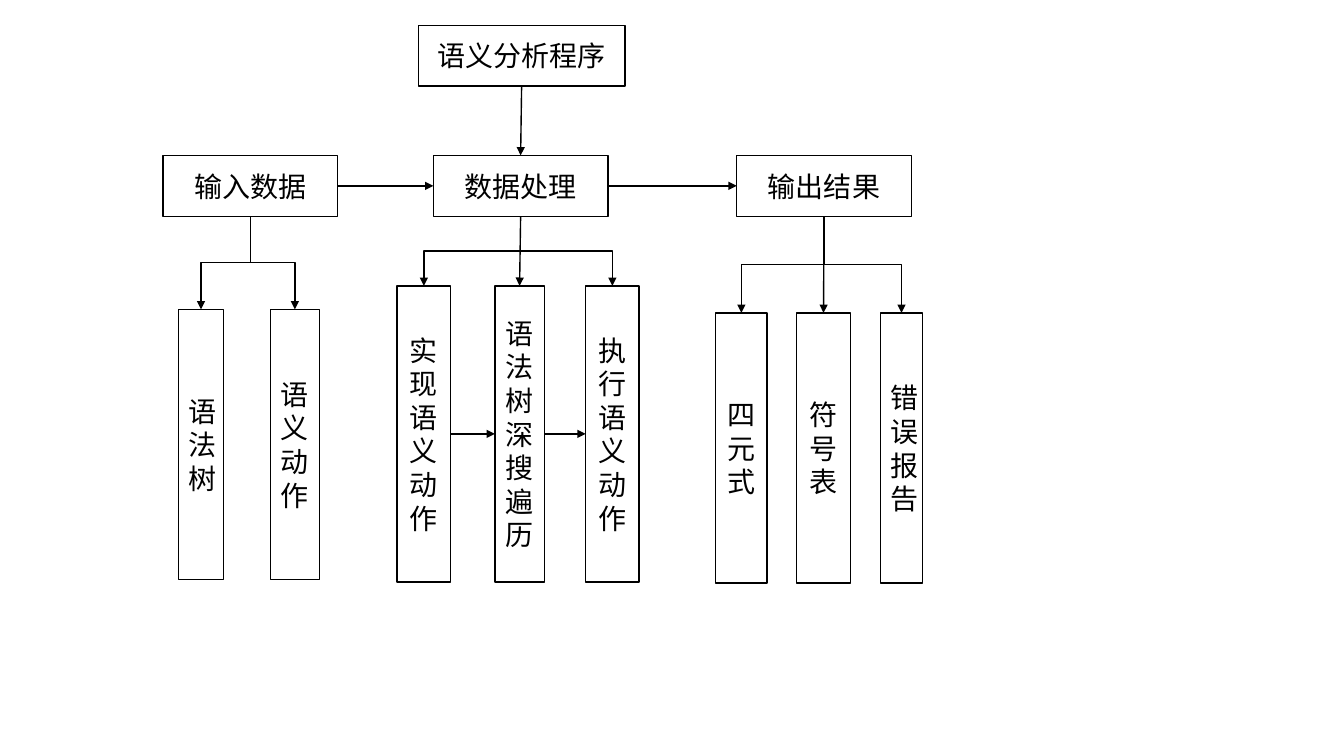
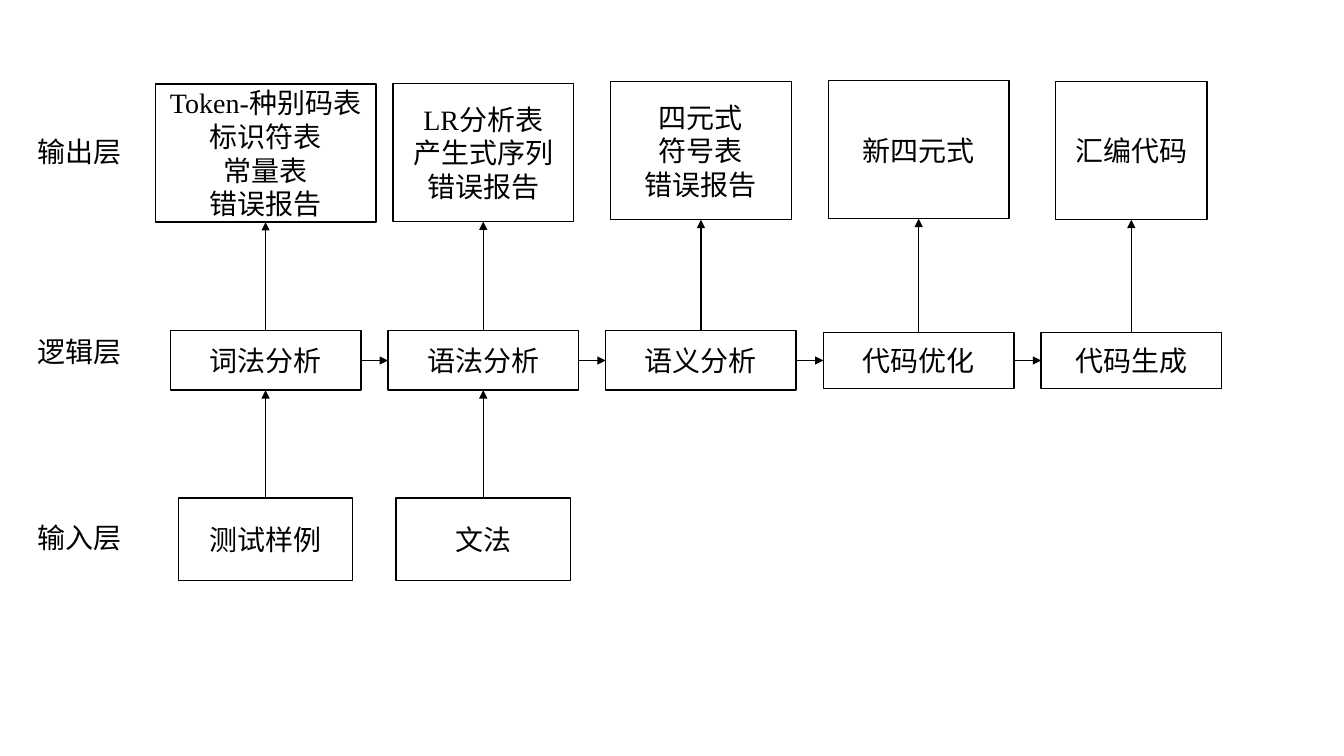
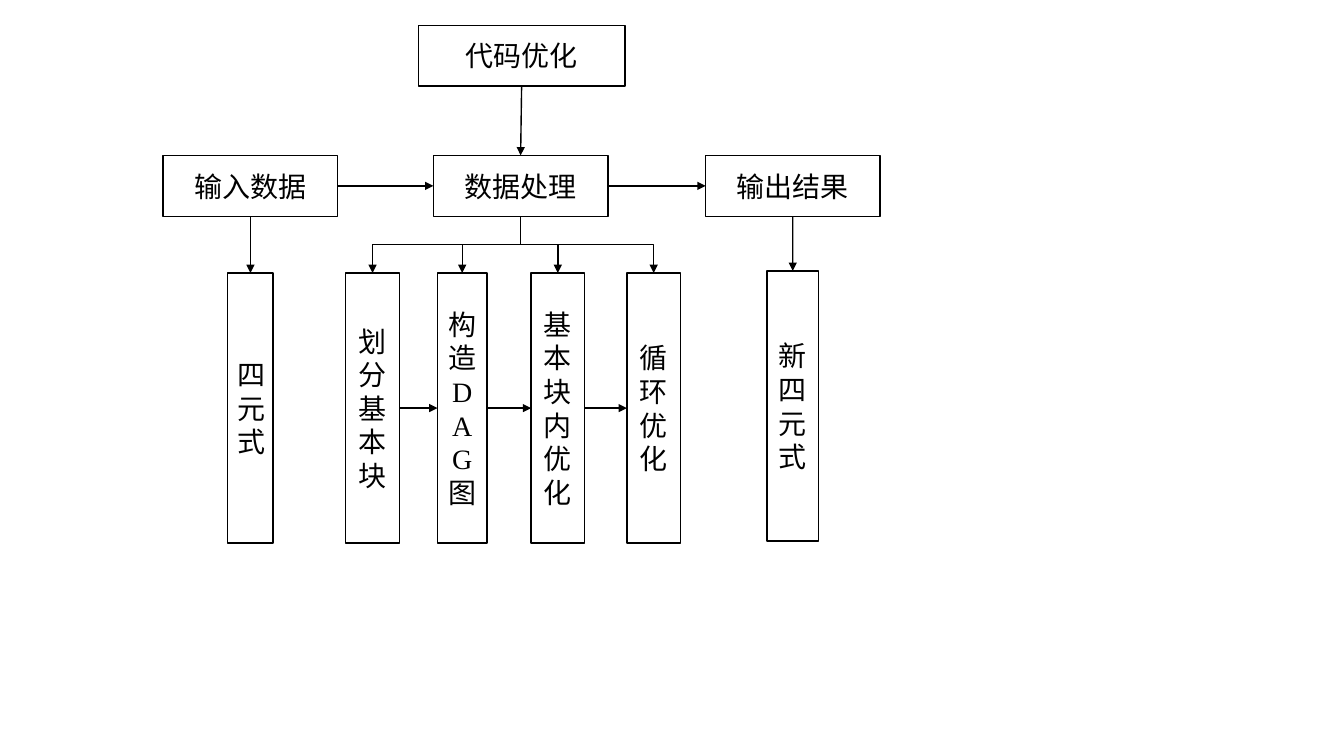
from dataclasses import dataclass
from itertools import pairwise

from lxml import etree
from pptx import Presentation
from pptx.dml.color import RGBColor
from pptx.enum.shapes import MSO_CONNECTOR as Connector, MSO_SHAPE as Preset
from pptx.enum.text import MSO_ANCHOR as Anchor, PP_ALIGN as Align
from pptx.oxml.ns import qn
from pptx.util import Pt


@dataclass(frozen=True)
class Theme:
    ink: RGBColor = RGBColor(0, 0, 0)
    paper: RGBColor = RGBColor(255, 255, 255)
    text_size: float = 20
    line_width: float = 1
    box_font: str = "Times New Roman"
    label_font: str = "Noto Sans CJK SC"


THEME = Theme()
TOP, LEFT, BOTTOM, RIGHT = range(4)  # connection sites of a rectangle

# Module charts: shared places of the heading boxes
ROOT_BOX = (298.8, 18, 147.6, 43.5)
HEADING_TOP, HEADING_WIDTH, HEADING_HEIGHT = 111, 124.6, 43.5

# Layer chart: column and row centres
FIRST_COLUMN, COLUMN_STEP = 189.7, 155.5
LOGIC_MIDDLE, INPUT_MIDDLE = 257.5, 385.2


# Elements
def write(text_frame, lines, font_name, align):
    text_frame.word_wrap = True
    text_frame.text = "\n".join(lines)
    font_format = {"name": font_name, "size": Pt(THEME.text_size)}
    for paragraph in text_frame.paragraphs:
        paragraph.alignment = align
        for run in paragraph.runs:
            for name, value in font_format.items():
                setattr(run.font, name, value)
            run.font.color.rgb = THEME.ink


def add_box(slide, left, top, width, height, *lines):
    shape = slide.shapes.add_shape(
        Preset.RECTANGLE, Pt(left), Pt(top), Pt(width), Pt(height))
    shape.shadow.inherit = False
    shape.fill.solid()
    shape.fill.fore_color.rgb = THEME.paper
    shape.line.color.rgb = THEME.ink
    shape.line.width = Pt(THEME.line_width)
    shape.text_frame.vertical_anchor = Anchor.MIDDLE
    write(shape.text_frame, lines, THEME.box_font, Align.CENTER)
    return shape


def add_centred_box(slide, centre, middle, width, height, *lines):
    return add_box(slide, centre - width / 2, middle - height / 2,
                   width, height, *lines)


def add_label(slide, top, text):
    shape = slide.shapes.add_textbox(Pt(19.4), Pt(top), Pt(80), Pt(31.7))
    write(shape.text_frame, [text], THEME.label_font, Align.LEFT)


def add_arrow(slide, start, start_site, end, end_site, kind=Connector.STRAIGHT):
    connector = slide.shapes.add_connector(kind, 0, 0, 0, 0)
    connector.begin_connect(start, start_site)
    connector.end_connect(end, end_site)
    connector.line.color.rgb = THEME.ink
    connector.line.width = Pt(THEME.line_width)
    etree.SubElement(connector.line._get_or_add_ln(), qn("a:tailEnd"),
                     type="triangle")
    etree.SubElement(connector._element.spPr, qn("a:effectLst"))
    return connector


def add_branch(slide, parent, child):
    """Arrow from the foot of parent to the head of child, bent if needed."""
    offset = child.left + child.width // 2 - parent.left - parent.width // 2
    if abs(offset) < Pt(2):
        add_arrow(slide, parent, BOTTOM, child, TOP)
        return
    connector = add_arrow(slide, parent, BOTTOM, child, TOP, Connector.ELBOW)
    # The preset elbow starts sideways, so it is turned to start downwards
    centre = (connector.begin_x + connector.end_x) // 2
    middle = (connector.begin_y + connector.end_y) // 2
    drop, spread = connector.end_y - connector.begin_y, abs(offset)
    turned = {"left": centre - drop // 2, "top": middle - spread // 2,
              "width": drop, "height": spread}
    for name, value in turned.items():
        setattr(connector, name, value)
    transform = connector._element.spPr.find(qn("a:xfrm"))
    transform.set("rot", str((90 if offset < 0 else 270) * 60000))
    transform.set("flipH", "0" if offset < 0 else "1")


def add_row_arrows(slide, boxes):
    for start, end in pairwise(boxes):
        add_arrow(slide, start, RIGHT, end, LEFT)


# Slides
def add_module_chart(slide, title, groups):
    """groups: heading, left, then top, height and parts (left, width, text)."""
    root = add_box(slide, *ROOT_BOX, title)
    headings = []
    for heading_text, heading_left, top, height, parts in groups:
        heading = add_box(slide, heading_left, HEADING_TOP, HEADING_WIDTH,
                          HEADING_HEIGHT, heading_text)
        headings.append(heading)
        boxes = [add_box(slide, left, top, width, height, text)
                 for left, width, text in parts]
        for box in boxes:
            add_branch(slide, heading, box)
        if heading_text == "数据处理":
            add_row_arrows(slide, boxes)
    add_branch(slide, root, headings[1])
    add_row_arrows(slide, headings)


def add_layer_chart(slide):
    for top, text in ((92.9, "输出层"), (235.4, "逻辑层"), (368.6, "输入层")):
        add_label(slide, top, text)

    # Stage: text, width, height; output: middle, width, lines; input text
    stages = [
        ("词法分析", 136.1, 42.5, 109.4, 157.7,
         ("Token-种别码表", "标识符表", "常量表", "错误报告"), "测试样例"),
        ("语法分析", 136.1, 42.5, 109, 129,
         ("LR分析表", "产生式序列", "错误报告"), "文法"),
        ("语义分析", 136.1, 42.5, 107.7, 129,
         ("四元式", "符号表", "错误报告"), None),
        ("代码优化", 136.1, 40.3, 107, 129, ("新四元式",), None),
        ("代码生成", 128.9, 40.3, 107.7, 108, ("汇编代码",), None),
    ]
    logic_boxes = []
    for index, stage in enumerate(stages):
        text, width, height, middle, output_width, lines, source = stage
        centre = FIRST_COLUMN + index * COLUMN_STEP - (136.1 - width) / 2
        logic = add_centred_box(slide, centre, LOGIC_MIDDLE, width, height, text)
        output = add_centred_box(slide, centre, middle, output_width, 98.6, *lines)
        add_arrow(slide, logic, TOP, output, BOTTOM)
        if source:
            entry = add_centred_box(slide, centre, INPUT_MIDDLE, 124.6, 59, source)
            add_arrow(slide, entry, TOP, logic, BOTTOM)
        logic_boxes.append(logic)
    add_row_arrows(slide, logic_boxes)


def main():
    presentation = Presentation()
    presentation.slide_width, presentation.slide_height = Pt(960), Pt(540)
    blank = presentation.slide_layouts[6]
    semantic, layers, optimiser = (
        presentation.slides.add_slide(blank) for _ in range(3))

    add_module_chart(semantic, "语义分析程序", [
        ("输入数据", 116.6, 221, 193,
         [(127.4, 32.4, "语法树"), (193, 35.3, "语义动作")]),
        ("数据处理", 309.6, 204.2, 211.5,
         [(283.7, 38.2, "实现语义动作"), (353.5, 35.3, "语法树深搜遍历"),
          (418.3, 38.2, "执行语义动作")]),
        ("输出结果", 526.3, 223.5, 193,
         [(511.2, 36.7, "四元式"), (568.8, 38.9, "符号表"),
          (629, 29.8, "错误报告")]),
    ])
    add_layer_chart(layers)
    add_module_chart(optimiser, "代码优化", [
        ("输入数据", 116.6, 195, 193, [(162.7, 32.4, "四元式")]),
        ("数据处理", 309.6, 195, 193,
         [(247, 38.2, "划分基本块"), (312.5, 35.3, "构造DAG图"),
          (379.4, 38.2, "基本块内优化"), (447.8, 38.2, "循环优化")]),
        ("输出结果", 504, 193.5, 193, [(547.9, 36.7, "新四元式")]),
    ])
    presentation.save("out.pptx")


if __name__ == "__main__":
    main()
